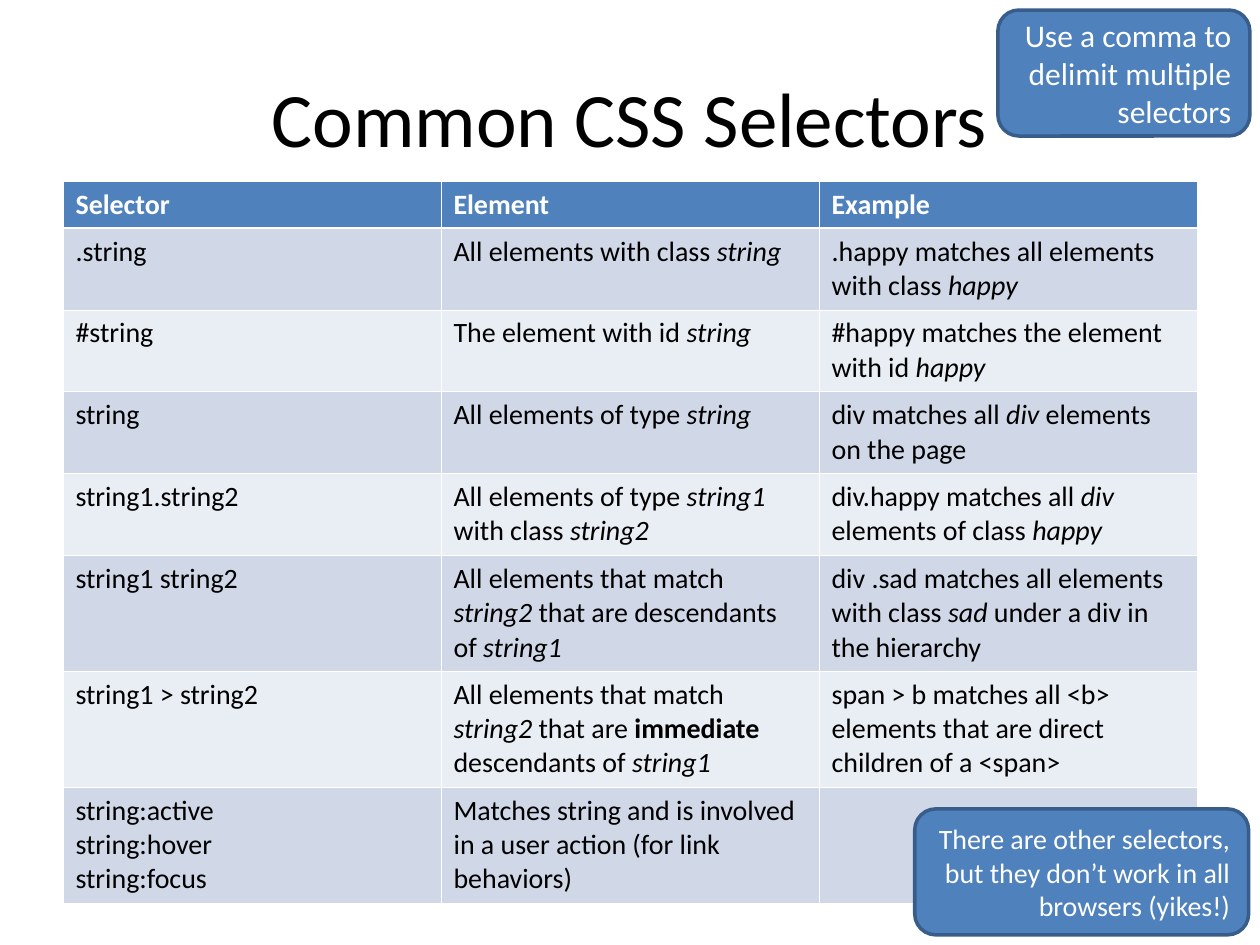
from lxml import etree
from pptx import Presentation
from pptx.dml.color import RGBColor
from pptx.enum.shapes import MSO_SHAPE
from pptx.enum.text import MSO_ANCHOR, PP_ALIGN
from pptx.oxml.ns import qn
from pptx.util import Inches, Pt

ROUNDED = MSO_SHAPE.ROUNDED_RECTANGLE
MIDDLE = MSO_ANCHOR.MIDDLE
CENTER, LEFT, RIGHT = PP_ALIGN.CENTER, PP_ALIGN.LEFT, PP_ALIGN.RIGHT

FONT = "Calibri"
BLACK, WHITE, BLUE, DARK_BLUE = "000000", "FFFFFF", "4F81BD", "385D8A"
BANDS = ["D0D8E8", "E9EDF4"]
THIN, THICK = 0.45, 1.47

COLUMN_WIDTHS = [3, 3, 3]
ROW_HEIGHTS = [0.37] + [0.65] * 4 + [0.92] * 3

# *...* marks italic and ^...^ marks bold
ROWS = [
    ["Selector", "Element", "Example"],
    [".string", "All elements with class *string*",
     ".happy matches all elements with class *happy*"],
    ["#string", "The element with id *string*",
     "#happy matches the element with id *happy*"],
    ["string", "All elements of type *string*",
     "div matches all *div* elements on the page"],
    ["string1.string2", "All elements of type *string1 *with class *string2*",
     "div.happy matches all *div* elements of class *happy*"],
    ["string1 string2",
     "All elements that match *string2* that are descendants of *string1*",
     "div .sad matches all elements with class *sad* under a div in the hierarchy"],
    ["string1 > string2",
     "All elements that match *string2 *that are ^immediate ^descendants of *string1*",
     "span > b matches all <b> elements that are direct children of a <span>"],
    ["string:active\nstring:hover\nstring:focus",
     "Matches string and is involved in a user action (for link behaviors)", ""],
]


def rgb(value):
    return RGBColor.from_string(value)


def format_paragraph(paragraph, size, color, alignment=LEFT):
    paragraph.alignment = alignment
    paragraph.font.name = FONT
    paragraph.font.size = Pt(size)
    paragraph.font.color.rgb = rgb(color)


def add_marked_text(paragraph, text):
    for line_number, line in enumerate(text.split("\n")):
        if line_number:
            paragraph.add_line_break()
        for italic_index, part in enumerate(line.split("*")):
            for bold_index, piece in enumerate(part.split("^")):
                if not piece:
                    continue
                run = paragraph.add_run()
                run.text = piece
                if italic_index % 2:
                    run.font.italic = True
                if bold_index % 2:
                    run.font.bold = True


def add_title(slide, text):
    box = slide.shapes.add_textbox(Inches(0.5), Inches(0.3), Inches(9), Inches(1.25))
    frame = box.text_frame
    frame.word_wrap = True
    frame.vertical_anchor = MIDDLE
    frame.text = text
    format_paragraph(frame.paragraphs[0], 44, BLACK, CENTER)


def set_borders(cell, top, bottom):
    properties = cell._tc.get_or_add_tcPr()
    for side, width in (("L", THIN), ("R", THIN), ("T", top), ("B", bottom)):
        line = etree.SubElement(properties, qn(f"a:ln{side}"), w=str(Pt(width)))
        fill = etree.SubElement(line, qn("a:solidFill"))
        etree.SubElement(fill, qn("a:srgbClr"), val=WHITE)


def add_selector_table(slide):
    frame = slide.shapes.add_table(
        len(ROWS), len(COLUMN_WIDTHS), Inches(0.5), Inches(1.44),
        Inches(sum(COLUMN_WIDTHS)), Inches(sum(ROW_HEIGHTS)))
    table = frame.table
    for column, width in zip(table.columns, COLUMN_WIDTHS):
        column.width = Inches(width)
    for row_index, texts in enumerate(ROWS):
        table.rows[row_index].height = Inches(ROW_HEIGHTS[row_index])
        header = row_index == 0
        for column_index, text in enumerate(texts):
            cell = table.cell(row_index, column_index)
            # Borders come before the fill in the cell properties
            set_borders(cell, THICK if row_index == 1 else THIN,
                        THICK if header else THIN)
            cell.fill.solid()
            cell.fill.fore_color.rgb = rgb(BLUE if header else BANDS[(row_index - 1) % 2])
            paragraph = cell.text_frame.paragraphs[0]
            format_paragraph(paragraph, 16, WHITE if header else BLACK)
            paragraph.font.bold = header
            add_marked_text(paragraph, text)


def add_callout(slide, left, top, width, text, size):
    shape = slide.shapes.add_shape(
        ROUNDED, Inches(left), Inches(top), Inches(width), Inches(1))
    shape.shadow.inherit = False
    shape.fill.solid()
    shape.fill.fore_color.rgb = rgb(BLUE)
    shape.line.color.rgb = rgb(DARK_BLUE)
    shape.line.width = Pt(2)
    frame = shape.text_frame
    frame.word_wrap = True
    frame.vertical_anchor = MIDDLE
    frame.text = text
    format_paragraph(frame.paragraphs[0], size, WHITE, RIGHT)


def main():
    presentation = Presentation()
    presentation.slide_width = Inches(10)
    presentation.slide_height = Inches(7.5)
    slide = presentation.slides.add_slide(presentation.slide_layouts[6])

    # Title and table
    add_title(slide, "Common CSS Selectors")
    add_selector_table(slide)

    # Notes at the right edge
    add_callout(slide, 7.92, 0.08, 2, "Use a comma to delimit multiple selectors", 18)
    add_callout(slide, 7.26, 6.42, 2.65,
                "There are other selectors, but they don’t work in all browsers (yikes!)", 16)

    presentation.save("out.pptx")


if __name__ == "__main__":
    main()
